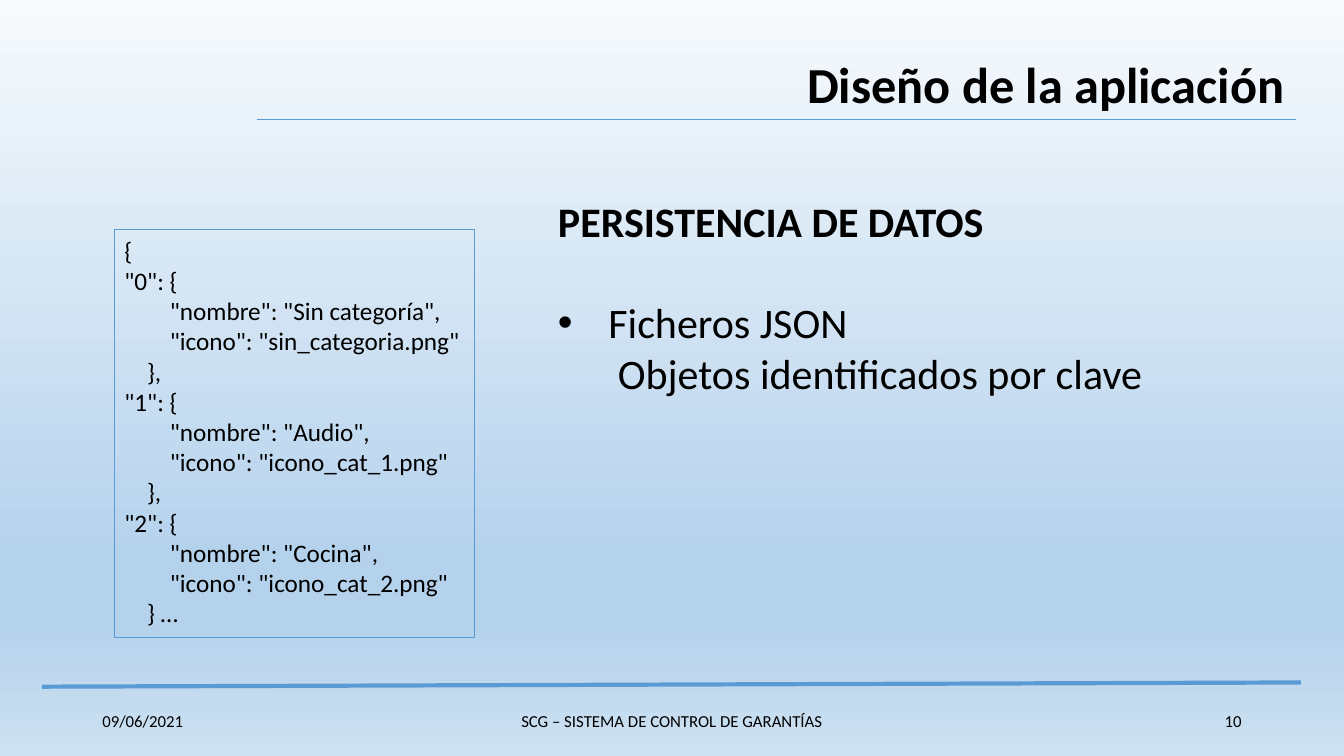
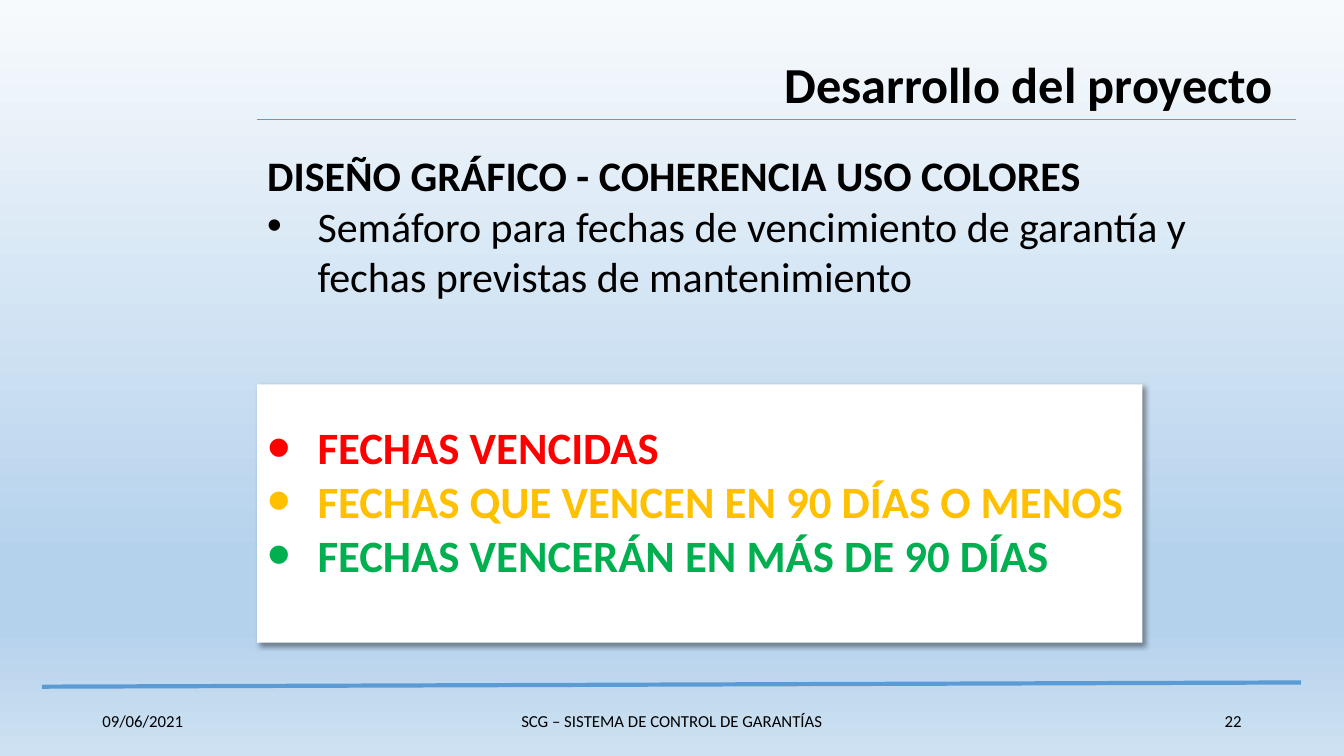
from lxml import etree
from pptx import Presentation
from pptx import util as u
from pptx.dml.color import RGBColor
from pptx.enum import shapes, text
from pptx.oxml.ns import qn

PX = 9525  # EMU per px, 96 px to the inch
WIDTH, HEIGHT = 1280, 720
FONT = "Calibri"
COLORS = {
    "ink": "000000", "line": "5B9BD5", "panel": "FFFFFF",
    "expired": "FF0000", "soon": "FFC000", "valid": "00B050",
    "sky_top": "F7FAFD", "sky_low": "B5D2EC", "sky_end": "CEE1F2",
}
SKY_STOPS = [(0, "sky_top"), (74, "sky_low"), (83, "sky_low"), (100, "sky_end")]
HANG = 48  # bullet indent
LEFT, CENTER, RIGHT = (text.PP_ALIGN.LEFT, text.PP_ALIGN.CENTER, text.PP_ALIGN.RIGHT)
TOP, MIDDLE = text.MSO_ANCHOR.TOP, text.MSO_ANCHOR.MIDDLE

CODE = """{
"0": {
        "nombre": "Sin categoría",
        "icono": "sin_categoria.png"
    },
"1": {
        "nombre": "Audio",
        "icono": "icono_cat_1.png"
    },
"2": {
        "nombre": "Cocina",
        "icono": "icono_cat_2.png"
    } …"""


def px(*values):
    return [u.Emu(value * PX) for value in values]


def rgb(name):
    return RGBColor.from_string(COLORS[name])


def add_xml(parent, tag, **attributes):
    return etree.SubElement(parent, qn(tag), {k: str(v) for k, v in attributes.items()})


# Text
def write(frame, content, size=18, bold=False, color="ink", align=LEFT,
          before=0, margin=0, bullet=None):
    """Add one paragraph; bullet is the bullet size in percent."""
    first = frame.paragraphs[0]
    para = frame.add_paragraph() if first.runs else first
    para.alignment = align
    para.space_before = u.Pt(before)
    props = para._p.get_or_add_pPr()
    props.set("marL", str(margin * PX))
    if bullet:
        props.set("marL", str(HANG * PX))
        props.set("indent", str(-HANG * PX))
        add_xml(props, "a:buSzPct", val=bullet * 1000)
        add_xml(props, "a:buFont", typeface="Arial")
        add_xml(props, "a:buChar", char="•")
    span = para.add_run()
    span.text = content
    span.font.name, span.font.size, span.font.bold = FONT, u.Pt(size), bold
    span.font.color.rgb = rgb(color)


def text_box(page, place, anchor=TOP):
    frame = page.shapes.add_textbox(*px(*place)).text_frame
    frame.word_wrap = True
    frame.vertical_anchor = anchor
    return frame


# Shapes
def add_line(page, start, end, weight):
    line = page.shapes.add_connector(shapes.MSO_CONNECTOR.STRAIGHT, *px(*start, *end))
    line.line.color.rgb = rgb("line")
    line.line.width = u.Pt(weight)
    add_xml(line._element.spPr, "a:effectLst")


def add_panel(page, place, fill=None, outline=None):
    panel = page.shapes.add_shape(shapes.MSO_SHAPE.RECTANGLE, *px(*place))
    panel.shadow.inherit = False
    if fill:
        panel.fill.solid()
        panel.fill.fore_color.rgb = rgb(fill)
    else:
        panel.fill.background()
    if outline:
        panel.line.color.rgb = rgb(outline)
        panel.line.width = u.Pt(0.75)
    else:
        panel.line.fill.background()
    panel.text_frame.word_wrap = True
    panel.text_frame.vertical_anchor = TOP
    return panel


def add_shadow(panel):
    effects = panel._element.spPr.find(qn("a:effectLst"))
    shadow = add_xml(effects, "a:outerShdw", blurRad=u.Pt(4), dist=u.Pt(3),
                     dir=45 * 60000, algn="tl", rotWithShape=0)
    color = add_xml(shadow, "a:srgbClr", val=COLORS["ink"])
    add_xml(color, "a:alpha", val=40000)


# Shared parts
def paint_background(master):
    fill = master.background.fill
    fill.gradient()
    fill.gradient_angle = 270
    stops = master.element.find(".//" + qn("a:gsLst"))
    for stop in list(stops):
        stops.remove(stop)
    for position, name in SKY_STOPS:
        stop = add_xml(stops, "a:gs", pos=position * 1000)
        add_xml(stop, "a:srgbClr", val=COLORS[name])


def add_page(deck, title, number, title_width=711):
    page = deck.slides.add_slide(deck.slide_layouts[6])
    add_line(page, (40, 654), (1239, 650), 3)
    footers = [
        ("09/06/2021", 88, 288, LEFT),
        ("SCG – SISTEMA DE CONTROL DE GARANTÍAS", 424, 432, CENTER),
        (str(number), 904, 288, RIGHT),
    ]
    for content, left, width, align in footers:
        write(text_box(page, (left, 667, width, 38), MIDDLE), content, size=12, align=align)
    write(text_box(page, (522, 46, title_width, 68)), title, size=36, bold=True, align=RIGHT)
    add_line(page, (245, 114), (1234, 114), 0.5)
    return page


# Slides
def persistence_page(deck):
    page = add_page(deck, "Diseño de la aplicación", 10)
    body = text_box(page, (522, 182, 607, 204))
    write(body, "PERSISTENCIA DE DATOS", size=30, bold=True)
    write(body, "Ficheros JSON", size=30, before=36, bullet=100)
    write(body, "Objetos identificados por clave", size=30, margin=57)
    code = add_panel(page, (109, 219, 343, 388), outline="line").text_frame
    for row in CODE.split("\n"):
        write(code, row)


def colors_page(deck):
    page = add_page(deck, "Desarrollo del proyecto", 22, title_width=700)
    body = text_box(page, (245, 138, 993, 156))
    write(body, "DISEÑO GRÁFICO - COHERENCIA USO COLORES", size=30, bold=True)
    write(body, "Semáforo para fechas de vencimiento de garantía y "
          "fechas previstas de mantenimiento", size=30, bullet=100)
    panel = add_panel(page, (245, 366, 843, 246), fill="panel")
    add_shadow(panel)
    legend = panel.text_frame
    legend.margin_top = px(34)[0]
    for content, color in [("FECHAS VENCIDAS", "expired"),
                           ("FECHAS QUE VENCEN EN 90 DÍAS O MENOS", "soon"),
                           ("FECHAS VENCERÁN EN MÁS DE 90 DÍAS", "valid")]:
        write(legend, content, size=32, bold=True, color=color, bullet=150)


def main():
    deck = Presentation()
    deck.slide_width, deck.slide_height = px(WIDTH, HEIGHT)
    paint_background(deck.slide_master)
    persistence_page(deck)
    colors_page(deck)
    deck.save("out.pptx")


if __name__ == "__main__":
    main()
